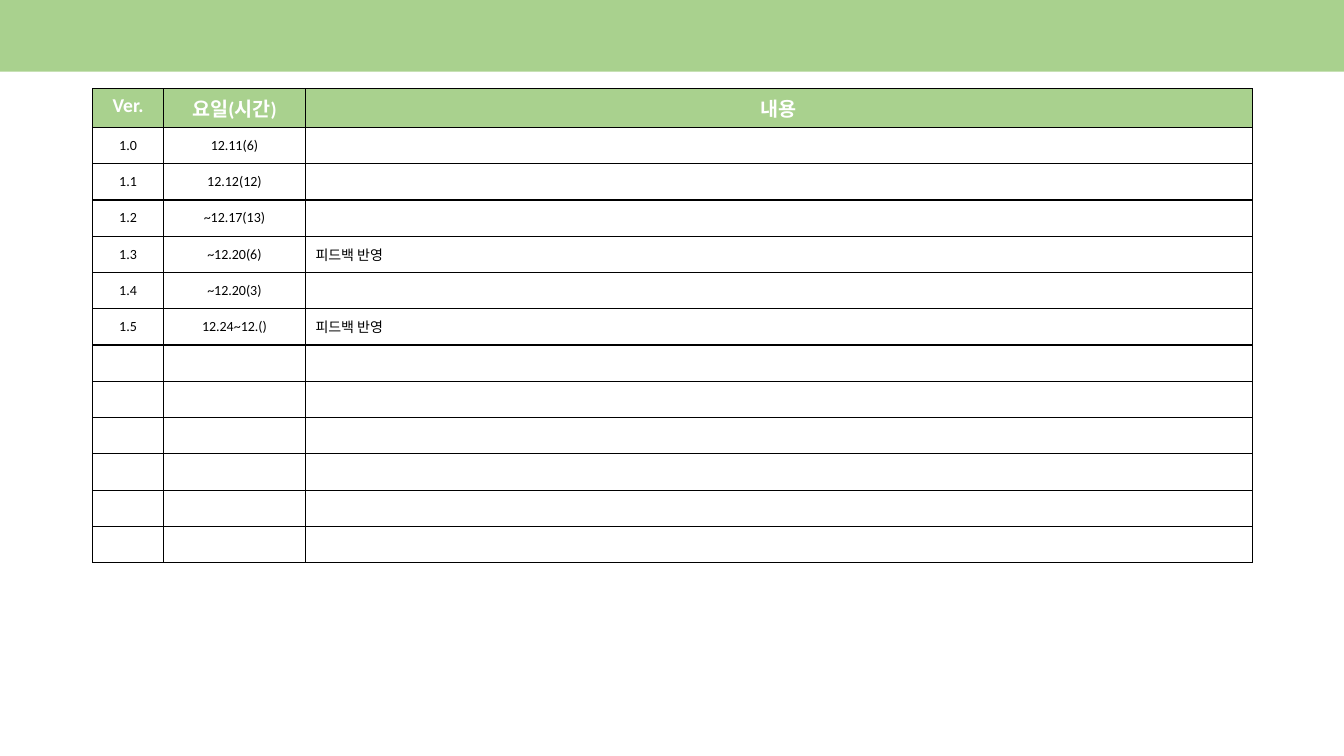
from dataclasses import dataclass

from lxml import etree
from pptx import Presentation
from pptx.dml.color import RGBColor
from pptx.enum.shapes import MSO_SHAPE
from pptx.enum.text import MSO_ANCHOR, PP_ALIGN
from pptx.oxml.ns import qn
from pptx.util import Inches, Pt

RECT = MSO_SHAPE.RECTANGLE
CENTER, LEFT = PP_ALIGN.CENTER, PP_ALIGN.LEFT
TOP, MIDDLE = MSO_ANCHOR.TOP, MSO_ANCHOR.MIDDLE


@dataclass(frozen=True)
class Theme:
    font: str = "Calibri"
    green: str = "A9D18E"
    white: str = "FFFFFF"
    black: str = "000000"
    header_size: int = 14
    body_size: int = 10
    border_width: int = 1


HEADERS = ["Ver.", "요일(시간)", "내용"]
VERSIONS = [
    ("1.0", "12.11(6)", ""),
    ("1.1", "12.12(12)", ""),
    ("1.2", "~12.17(13)", ""),
    ("1.3", "~12.20(6)", "피드백 반영"),
    ("1.4", "~12.20(3)", ""),
    ("1.5", "12.24~12.()", "피드백 반영"),
]
EMPTY_ROWS = 6
COLUMN_WIDTHS = [0.7, 1.41, 9.39]
HEADER_HEIGHT, ROW_HEIGHT = 0.38, 0.36


class SlideBuilder:
    def __init__(self, slide, theme):
        self.slide = slide
        self.theme = theme

    def band(self, left, top, width, height):
        sp = self.slide.shapes.add_shape(
            RECT, Inches(left), Inches(top), Inches(width), Inches(height))
        sp.shadow.inherit = False
        sp.fill.solid()
        sp.fill.fore_color.rgb = RGBColor.from_string(self.theme.green)
        sp.line.fill.background()

    def table(self, left, top, widths, heights, rows):
        frame = self.slide.shapes.add_table(
            len(rows), len(widths), Inches(left), Inches(top),
            Inches(sum(widths)), Inches(sum(heights)))
        table = frame.table
        table.horz_banding = False
        for column, width in zip(table.columns, widths):
            column.width = Inches(width)
        for i, (row, height, texts) in enumerate(zip(table.rows, heights, rows)):
            row.height = Inches(height)
            for j, text in enumerate(texts):
                self.cell(table.cell(i, j), text, is_header=i == 0,
                          align=CENTER if i == 0 or j < 2 else LEFT)

    def cell(self, cell, text, is_header, align):
        th = self.theme
        cell.fill.solid()
        cell.fill.fore_color.rgb = RGBColor.from_string(th.green if is_header else th.white)
        cell.vertical_anchor = TOP if is_header else MIDDLE
        self.borders(cell)
        p = cell.text_frame.paragraphs[0]
        p.alignment = align
        size = th.header_size if is_header else th.body_size
        if not text:
            # The end mark's size keeps an empty row from growing
            etree.SubElement(p._p, qn("a:endParaRPr"), sz=str(size * 100))
            return
        r = p.add_run()
        r.text = text
        for name, value in {"name": th.font, "size": Pt(size), "bold": is_header}.items():
            setattr(r.font, name, value)
        r.font.color.rgb = RGBColor.from_string(th.white if is_header else th.black)

    def borders(self, cell):
        tcPr = cell._tc.get_or_add_tcPr()
        for i, side in enumerate(("lnL", "lnR", "lnT", "lnB")):
            ln = etree.Element(qn(f"a:{side}"), w=str(Pt(self.theme.border_width)))
            fill = etree.SubElement(ln, qn("a:solidFill"))
            etree.SubElement(fill, qn("a:srgbClr"), val=self.theme.black)
            tcPr.insert(i, ln)


def main():
    prs = Presentation()
    prs.slide_width, prs.slide_height = Inches(13.33), Inches(7.5)
    builder = SlideBuilder(prs.slides.add_slide(prs.slide_layouts[6]), Theme())
    builder.band(0, 0, 13.33, 0.71)
    rows = [HEADERS, *VERSIONS, *[("", "", "")] * EMPTY_ROWS]
    heights = [HEADER_HEIGHT] + [ROW_HEIGHT] * (len(rows) - 1)
    builder.table(0.92, 0.88, COLUMN_WIDTHS, heights, rows)
    prs.save("out.pptx")


if __name__ == "__main__":
    main()
